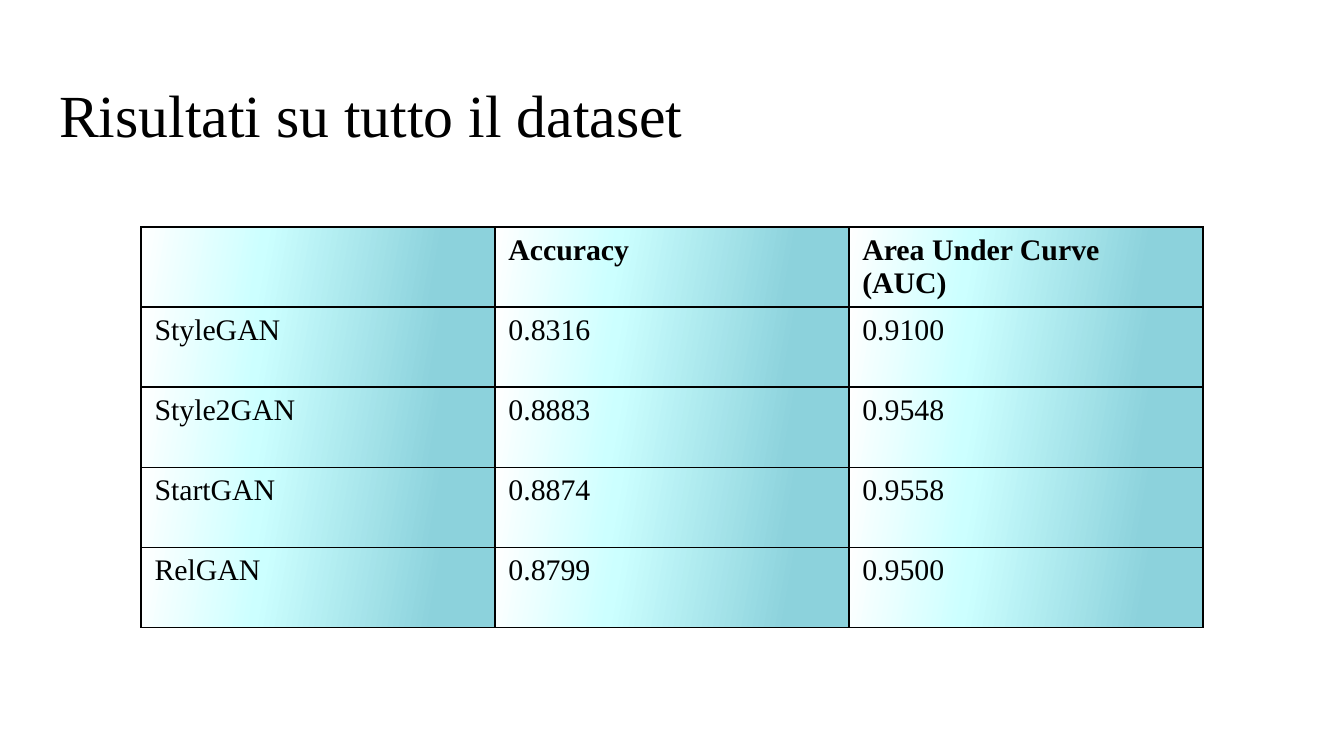
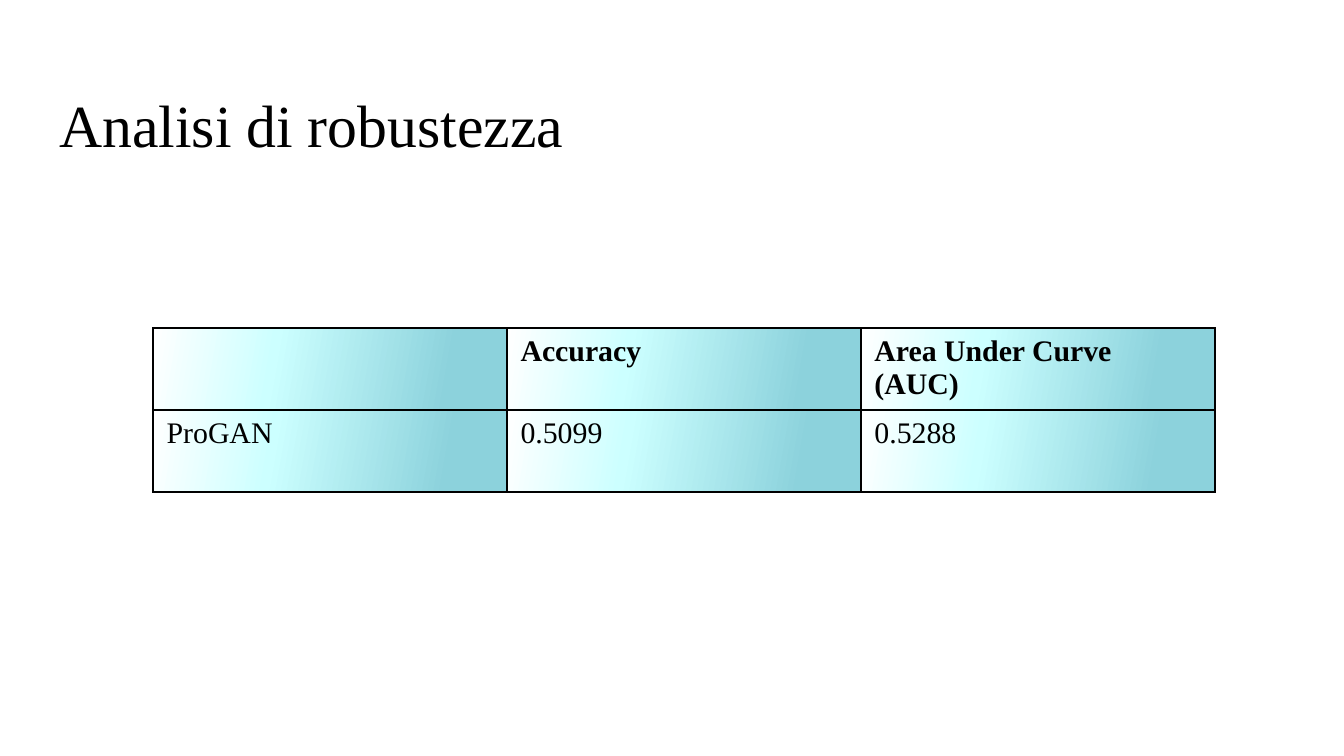
"""Build two slides of GAN detection results with gradient-filled tables."""
from lxml.etree import SubElement
from pptx import Presentation
from pptx.dml.color import RGBColor
from pptx.enum.text import MSO_ANCHOR, MSO_AUTO_SIZE, PP_ALIGN
from pptx.oxml.ns import qn
from pptx.util import Inches, Pt

FONT = "Times New Roman"
BLACK = RGBColor(0x00, 0x00, 0x00)
WHITE = RGBColor(0xFF, 0xFF, 0xFF)
PALE_CYAN = RGBColor(0xCC, 0xFF, 0xFF)
TEAL = RGBColor(0x8C, 0xD2, 0xDC)
GRADIENT_STOPS = [(0, WHITE), (34, PALE_CYAN), (83, TEAL)]
GRADIENT_ANGLE = 10
TABLE_WIDTH = 7.9
HEADER = ["", "Accuracy", "Area Under Curve (AUC)"]

SLIDES = [
    ("Risultati su tutto il dataset", 0.48, (1.05, 1.69), 2.98, [
        ["StyleGAN", "0.8316", "0.9100"],
        ["Style2GAN", "0.8883", "0.9548"],
        ["StartGAN", "0.8874", "0.9558"],
        ["RelGAN", "0.8799", "0.9500"],
    ]),
    ("Analisi di robustezza", 0.55, (1.14, 2.44), 1.22, [
        ["ProGAN", "0.5099", "0.5288"],
    ]),
]


def set_font(paragraph, size, bold=False):
    paragraph.font.name = FONT
    paragraph.font.size = Pt(size)
    paragraph.font.bold = bold
    paragraph.font.color.rgb = BLACK


def style_cell(cell):
    properties = cell._tc.get_or_add_tcPr()
    for side in ("a:lnL", "a:lnR", "a:lnT", "a:lnB"):
        border = SubElement(properties, qn(side), w=str(Pt(1)))
        solid = SubElement(border, qn("a:solidFill"))
        SubElement(solid, qn("a:srgbClr"), val=str(BLACK))
    gradient = SubElement(properties, qn("a:gradFill"))
    stops = SubElement(gradient, qn("a:gsLst"))
    for position, color in GRADIENT_STOPS:
        stop = SubElement(stops, qn("a:gs"), pos=str(position * 1000))
        SubElement(stop, qn("a:srgbClr"), val=str(color))
    SubElement(gradient, qn("a:lin"), ang=str(GRADIENT_ANGLE * 60000), scaled="0")


presentation = Presentation()
presentation.slide_width = Inches(10)
presentation.slide_height = Inches(10 * 9 / 16)

for title_text, title_top, (left, top), table_height, results in SLIDES:
    slide = presentation.slides.add_slide(presentation.slide_layouts[5])

    title = slide.shapes.title
    title.left, title.top = Inches(0.34), Inches(title_top)
    title.width, title.height = Inches(9.32), Inches(0.63)
    frame = title.text_frame
    frame.text = title_text
    frame.word_wrap = True
    frame.auto_size = MSO_AUTO_SIZE.NONE
    frame.vertical_anchor = MSO_ANCHOR.TOP
    frame.margin_left = frame.margin_right = Inches(0.1)
    frame.margin_top = frame.margin_bottom = Inches(0.1)
    frame.paragraphs[0].alignment = PP_ALIGN.LEFT
    set_font(frame.paragraphs[0], 32)

    rows = [HEADER] + results
    table = slide.shapes.add_table(
        len(rows), len(HEADER), Inches(left), Inches(top),
        Inches(TABLE_WIDTH), Inches(table_height)).table
    table.horz_banding = False
    for row_index, texts in enumerate(rows):
        for column_index, text in enumerate(texts):
            cell = table.cell(row_index, column_index)
            cell.text = text
            set_font(cell.text_frame.paragraphs[0], 16, bold=row_index == 0)
            style_cell(cell)

presentation.save("out.pptx")
